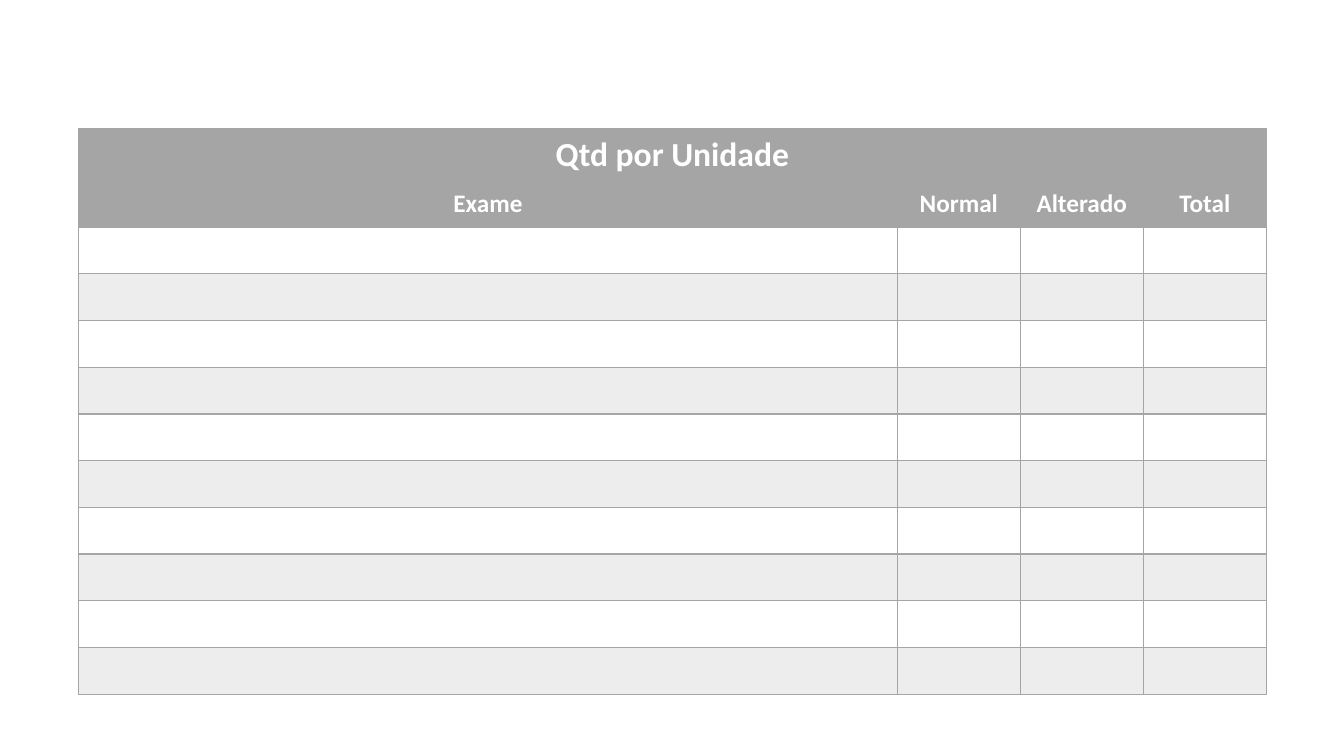
from pptx import Presentation
from pptx.dml.color import RGBColor as RGB
from pptx.enum.shapes import MSO_SHAPE as Shape
from pptx.enum.text import MSO_ANCHOR as Anchor, PP_ALIGN as Align
from pptx.oxml import parse_xml
from pptx.oxml.ns import nsdecls, qn
from pptx.util import Inches, Pt
from lxml.etree import SubElement as Sub

# Content
TITLE = "Qtd por Unidade"
HEADS = ["Exame", "Normal", "Alterado", "Total"]
BLANKS = 10

# Look
HEX = {"white": "FFFFFF", "gray": "A5A5A5"}
FONT = "Calibri"
PANEL = (0.45, 0.94, 12.43, 6.28)
LEFT, TOP, HIGH = 0.78, 1.28, 5.61
COLS = [8.12] + [1.22] * 3
FIRST = 0.51
ROWS = [FIRST] + [(HIGH - FIRST) / (BLANKS + 1)] * (BLANKS + 1)


def paint(fill, name, alpha=100):
    fill.solid()
    fill.fore_color.rgb = RGB.from_string(HEX[name])
    if alpha < 100:
        color = fill._xPr.find(qn("a:solidFill"))[0]
        Sub(color, qn("a:alpha"), val=str(alpha * 1000))


def frame(cell):
    props = cell._tc.get_or_add_tcPr()
    for spot, side in enumerate("LRTB"):
        props.insert(spot, parse_xml(
            f'<a:ln{side} {nsdecls("a")} w="{Pt(1)}"><a:solidFill>'
            f'<a:srgbClr val="{HEX["gray"]}"/></a:solidFill></a:ln{side}>'))


def label(cell, text, size):
    cell.text = text
    cell.vertical_anchor = Anchor.MIDDLE
    para = cell.text_frame.paragraphs[0]
    para.alignment = Align.CENTER
    font = para.font
    font.name, font.size, font.bold = FONT, Pt(size), True
    font.color.rgb = RGB.from_string(HEX["white"])


deck = Presentation()
deck.slide_width, deck.slide_height = Inches(13.33), Inches(7.5)
slide = deck.slides.add_slide(deck.slide_layouts[6])

# Backing panel
panel = slide.shapes.add_shape(Shape.RECTANGLE, *map(Inches, PANEL))
panel.shadow.inherit = False
paint(panel.fill, "white", 90)
panel.line.color.rgb = RGB.from_string(HEX["white"])
panel.line.width = Pt(1)

# Table grid
box = map(Inches, (LEFT, TOP, sum(COLS), HIGH))
table = slide.shapes.add_table(len(ROWS), len(COLS), *box).table
table.first_row = table.horz_banding = False
for col, width in zip(table.columns, COLS):
    col.width = Inches(width)
for row, height in zip(table.rows, ROWS):
    row.height = Inches(height)

# Fills and borders: two header rows, then clear and tinted rows in turn
for num, row in enumerate(table.rows):
    for cell in row.cells:
        if num < 2:
            paint(cell.fill, "gray")
        elif num % 2:
            paint(cell.fill, "gray", 20)
        else:
            cell.fill.background()
        frame(cell)

# Header text
table.cell(0, 0).merge(table.cell(0, len(COLS) - 1))
label(table.cell(0, 0), TITLE, 24)
for num, head in enumerate(HEADS):
    label(table.cell(1, num), head, 18)

deck.save("out.pptx")
